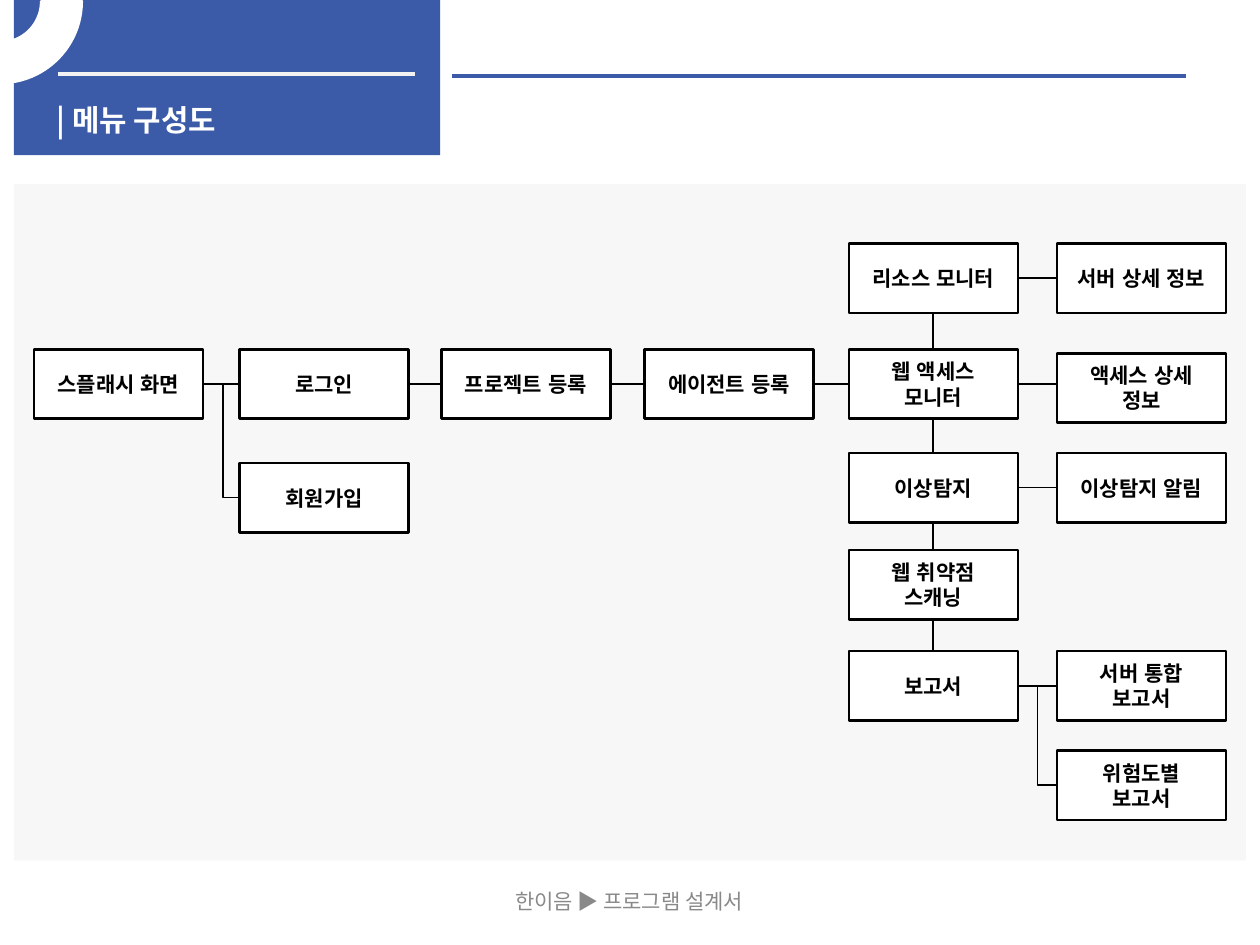
from math import cos, pi, sin

from lxml.etree import SubElement as Sub
from pptx import Presentation
from pptx.dml.color import RGBColor
from pptx.enum.shapes import MSO_CONNECTOR as Link, MSO_SHAPE as Kind
from pptx.enum.text import MSO_ANCHOR as Anchor, PP_ALIGN as Align
from pptx.oxml.ns import qn
from pptx.util import Pt

BLUE, WHITE, BLACK = "3B5AA8", "FFFFFF", "000000"
NOTO = "Noto Sans CJK KR"
WIDE, HIGH = 96.5, 39.6
COLS = [19.4, 136.8, 252, 367.9, 484.6, 603.4]
ROWS = [139, 199.4, 258.5, 313.9, 371.5, 428.4]
MAIN = ROWS[1]
JOIN = 264.2
MENUS = [
    (0, MAIN, "스플래시 화면"),
    (1, MAIN, "로그인"),
    (1, JOIN, "회원가입"),
    (2, MAIN, "프로젝트 등록"),
    (3, MAIN, "에이전트 등록"),
    (4, ROWS[0], "리소스 모니터"),
    (4, MAIN, "웹 액세스\n모니터"),
    (4, ROWS[2], "이상탐지"),
    (4, ROWS[3], "웹 취약점\n스캐닝"),
    (4, ROWS[4], "보고서"),
    (5, ROWS[0], "서버 상세 정보"),
    (5, 201.6, "액세스 상세\n정보"),
    (5, ROWS[2], "이상탐지 알림"),
    (5, ROWS[4], "서버 통합\n보고서"),
    (5, ROWS[5], "위험도별\n보고서"),
]


def tint(code):
    return RGBColor.from_string(code)


class Page:
    def __init__(self, slide):
        self.shapes = slide.shapes
        self.frame = {"word_wrap": True, "vertical_anchor": Anchor.MIDDLE}
        self.base = {"name": "Arial", "size": Pt(12), "bold": True}

    def label(self, shape, text, color, align=Align.CENTER, font=None, frame=None):
        body = shape.text_frame
        body.text = text
        for key, val in {**self.frame, **(frame or {})}.items():
            setattr(body, key, val)
        style = {**self.base, **(font or {})}
        for para in body.paragraphs:
            para.alignment = align
            for run in para.runs:
                for key, val in style.items():
                    setattr(run.font, key, val)
                run.font.color.rgb = tint(color)
                Sub(run.font._element, qn("a:ea"), typeface=style["name"])

    def paint(self, shape, fill, line=None, width=1.5):
        shape.shadow.inherit = False
        shape.fill.solid()
        shape.fill.fore_color.rgb = tint(fill)
        if line:
            shape.line.color.rgb = tint(line)
            shape.line.width = Pt(width)
        else:
            shape.line.fill.background()

    def rect(self, x, y, w, h, fill, line=None, alpha=None):
        box = self.shapes.add_shape(Kind.RECTANGLE, Pt(x), Pt(y), Pt(w), Pt(h))
        self.paint(box, fill, line)
        if alpha:
            color = box.element.spPr.find(".//" + qn("a:srgbClr"))
            Sub(color, qn("a:alpha"), val=str(alpha * 1000))
        return box

    def line(self, x, y, to_x, to_y, color=BLACK, width=1, kind=Link.STRAIGHT):
        link = self.shapes.add_connector(kind, Pt(x), Pt(y), Pt(to_x), Pt(to_y))
        link.line.color.rgb = tint(color)
        link.line.width = Pt(width)
        Sub(link.element.spPr, qn("a:effectLst"))

    def ring(self, outer, inner, top, steps=24):
        """Draw a quarter ring around the left edge of the slide."""
        turns = [i * pi / 2 / steps for i in range(steps + 1)]
        arcs = [(outer, t) for t in turns] + [(inner, t) for t in reversed(turns)]
        dots = [(Pt(r * cos(t)), Pt(top + r * sin(t))) for r, t in arcs]
        pen = self.shapes.build_freeform(*dots[0], scale=1.0)
        pen.add_line_segments(dots[1:], close=True)
        self.paint(pen.convert_to_shape(), WHITE, WHITE, 2)

    def title(self, x, y, w, h, text):
        head = self.shapes.title
        head.left, head.top, head.width, head.height = Pt(x), Pt(y), Pt(w), Pt(h)
        self.label(head, text, WHITE, Align.LEFT,
                   {"name": NOTO, "size": Pt(17)}, {"vertical_anchor": Anchor.TOP})
        head.element.getparent().append(head.element)

    def note(self, x, y, w, h, text):
        box = self.shapes.add_textbox(Pt(x), Pt(y), Pt(w), Pt(h))
        self.label(box, text, "898989", font={"name": NOTO, "bold": False})


def draw(page):
    page.rect(7.9, 0, 243.4, 88.6, BLUE)
    page.line(33.1, 42.5, 236.9, 42.5, "F2F2F2", 2.25)
    page.line(257.8, 43.2, 676.8, 43.2, BLUE, 2.25)
    page.title(25.2, 54.7, 232.6, 21.6, "| 메뉴 구성도")
    page.ring(46.4, 23.8, 0.7)
    page.note(245.5, 499.7, 227.5, 28.8, "한이음 ▶ 프로그램 설계서")
    page.rect(7.9, 105.1, 703.4, 385.9, "F0F0F0", alpha=53)

    half = HIGH / 2
    spine = COLS[4] + WIDE / 2
    edge = COLS[4] + WIDE
    page.line(spine, ROWS[0] + HIGH, spine, ROWS[4])
    page.line(COLS[0] + WIDE, MAIN + half, COLS[4], MAIN + half)
    for row in (*ROWS[:3], ROWS[4]):
        page.line(edge, row + half, COLS[5], row + half)
    page.line(117.8, MAIN + half, COLS[1], JOIN + half, kind=Link.ELBOW)
    page.line(edge, ROWS[4] + half, COLS[5], ROWS[5] + half, kind=Link.ELBOW)
    for col, top, text in MENUS:
        box = page.rect(COLS[col], top, WIDE, HIGH, WHITE, BLACK)
        page.label(box, text, BLACK)


def main():
    deck = Presentation()
    deck.slide_width, deck.slide_height = Pt(719.3), Pt(539.3)
    draw(Page(deck.slides.add_slide(deck.slide_layouts[5])))
    deck.save("out.pptx")


if __name__ == "__main__":
    main()
